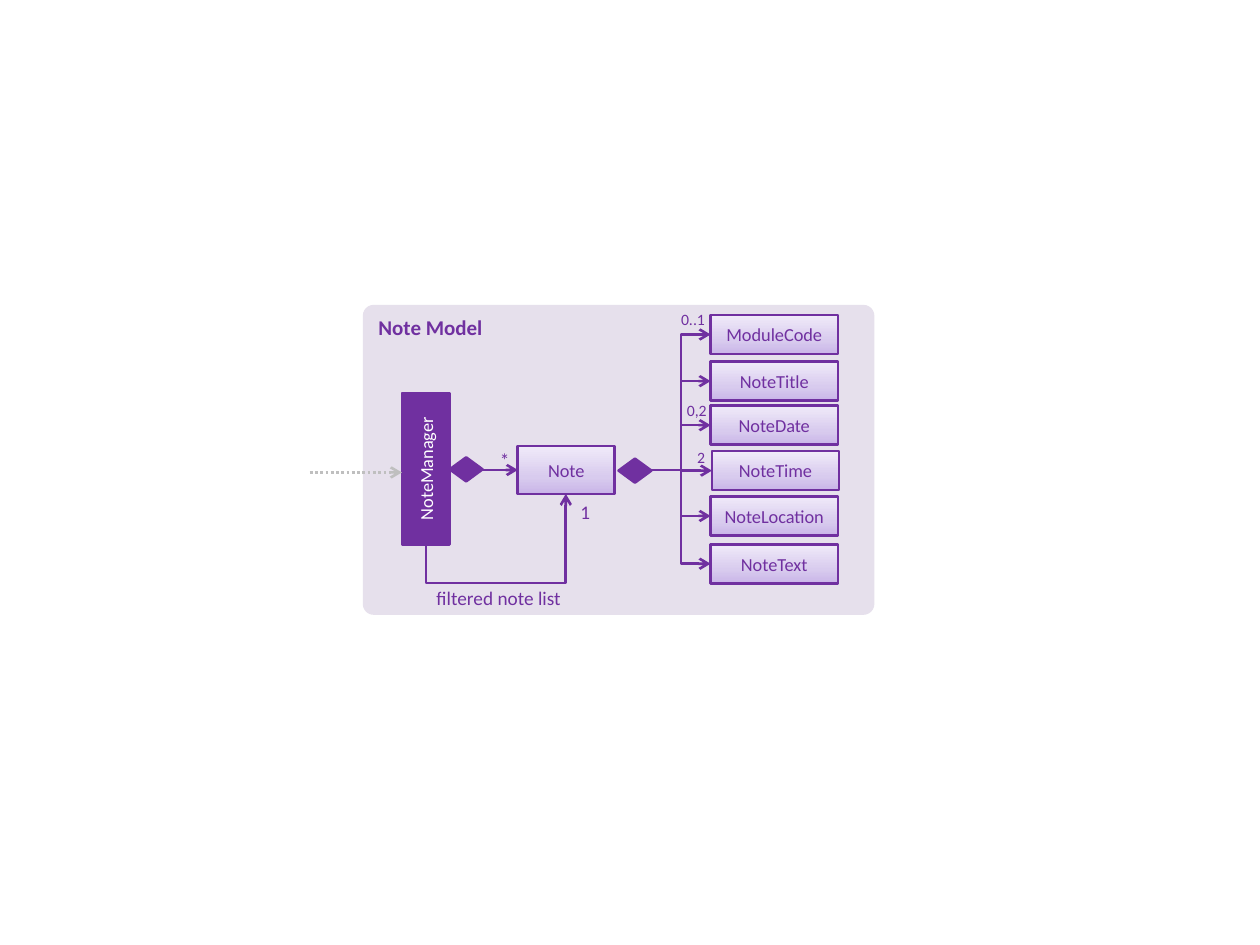
from dataclasses import dataclass

from copy import deepcopy
from pptx import Presentation
from pptx.dml.color import RGBColor
from pptx.enum.dml import MSO_LINE
from pptx.enum.shapes import MSO_CONNECTOR as Link, MSO_SHAPE as Shape
from pptx.enum.text import MSO_ANCHOR as Anchor, PP_ALIGN as Align
from pptx.oxml.ns import qn
from pptx.oxml.xmlchemy import OxmlElement
from pptx.util import Inches, Pt

PURPLE, PANEL, WHITE, GREY = "7030A0", "E6E0EC", "FFFFFF", "BFBFBF"
GRADIENT = ((0, "C9B5E8"), (0.35, "D8CBEE"), (1, "F0EAF9"))
FIELD_X, FIELD_W, FIELD_H = 5.64, 1.01, 0.31
LINK_START = (5.17, 3.73)


@dataclass(frozen=True)
class Field:
    name: str
    top: float
    left: float = FIELD_X


@dataclass(frozen=True)
class Label:
    text: str
    left: float
    top: float
    width: float = 0.19
    size: float = 9


FIELDS = (
    Field("ModuleCode", 2.5),
    Field("NoteTitle", 2.87),
    Field("NoteDate", 3.22),
    Field("NoteTime", 3.58, 5.65),
    Field("NoteLocation", 3.94),
    Field("NoteText", 4.32),
)

LABELS = (
    Label("*", 3.91, 3.56, size=11),
    Label("1", 4.55, 3.97, size=11),
    Label("0..1", 5.36, 2.46, 0.28),
    Label("0,2", 5.4, 3.18, 0.26),
    Label("2", 5.47, 3.55),
)


def rgb(color: str) -> RGBColor:
    return RGBColor.from_string(color)


def write(sp, text: str, size: float, color: str = PURPLE,
          align=Align.CENTER, bold: bool = False) -> None:
    tf = sp.text_frame
    tf.word_wrap = True
    p = tf.paragraphs[0]
    p.alignment = align
    r = p.add_run()
    r.text = text
    r.font.name = "Calibri"
    r.font.size = Pt(size)
    r.font.bold = bold
    r.font.color.rgb = rgb(color)


def add_shape(s, kind, left: float, top: float, width: float, height: float,
              fill: str = PURPLE, outline: bool = True):
    sp = s.shapes.add_shape(kind, *map(Inches, (left, top, width, height)))
    sp.shadow.inherit = False
    sp.fill.solid()
    sp.fill.fore_color.rgb = rgb(fill)
    if outline:
        sp.line.color.rgb = rgb(PURPLE)
        sp.line.width = Pt(1.5)
    else:
        sp.line.fill.background()
    return sp


def add_class(s, name: str, left: float, top: float,
              width: float = FIELD_W, height: float = FIELD_H) -> None:
    sp = add_shape(s, Shape.RECTANGLE, left, top, width, height)
    sp.fill.gradient()
    sp.fill.gradient_angle = 90
    first = sp.element.spPr.find(".//" + qn("a:gs"))
    first.addnext(deepcopy(first))
    for stop, (position, color) in zip(sp.fill.gradient_stops, GRADIENT):
        stop.position = position
        stop.color.rgb = rgb(color)
    sp.text_frame.vertical_anchor = Anchor.MIDDLE
    write(sp, name, 10.5)


def add_arrow(s, kind, start: tuple[float, float], end: tuple[float, float],
              color: str = PURPLE):
    c = s.shapes.add_connector(kind, *map(Inches, (*start, *end)))
    c.line.color.rgb = rgb(color)
    c.line.width = Pt(1.5)
    if color == GREY:
        c.line.dash_style = MSO_LINE.ROUND_DOT
    tail = OxmlElement("a:tailEnd")
    tail.set("type", "arrow")
    c.line._get_or_add_ln().append(tail)
    c.element.spPr.append(OxmlElement("a:effectLst"))
    return c


def turn_elbow(c, degrees: int, bend: float) -> None:
    spPr = c.element.spPr
    spPr.find(qn("a:xfrm")).set("rot", str(degrees * 60000))
    gd = OxmlElement("a:gd")
    gd.set("name", "adj1")
    gd.set("fmla", f"val {round(bend * 100000)}")
    spPr.find(".//" + qn("a:avLst")).append(gd)


def add_label(s, label: Label) -> None:
    box = s.shapes.add_textbox(*map(Inches, (label.left, label.top, label.width, 0.15)))
    tf = box.text_frame
    tf.margin_left = tf.margin_right = tf.margin_top = tf.margin_bottom = 0
    write(box, label.text, label.size)


def main() -> None:
    prs = Presentation()
    prs.slide_width, prs.slide_height = Inches(10), Inches(7.5)
    s = prs.slides.add_slide(prs.slide_layouts[6])

    panel = add_shape(s, Shape.ROUNDED_RECTANGLE, 2.88, 2.42, 4.06, 2.46, PANEL, False)
    panel.adjustments[0] = 0.035
    panel.text_frame.vertical_anchor = Anchor.TOP
    write(panel, "Note Model", 12, align=Align.LEFT, bold=True)

    manager = add_shape(s, Shape.RECTANGLE, 2.78, 3.53, 1.2, 0.38)
    manager.rotation = 270
    manager.text_frame.vertical_anchor = Anchor.MIDDLE
    write(manager, "NoteManager", 10.5, WHITE)

    filtered = add_arrow(s, Link.ELBOW, (4.13, 4.67), (3.74, 3.56))
    turn_elbow(filtered, 90, -0.81)
    add_arrow(s, Link.STRAIGHT, (3.83, 3.73), (4.11, 3.73))
    add_class(s, "Note", 4.11, 3.54, 0.77, 0.38)

    for field in FIELDS:
        add_class(s, field.name, field.left, field.top)
        add_arrow(s, Link.ELBOW, LINK_START, (field.left, field.top + FIELD_H / 2))

    for left, top in ((4.91, 3.64), (3.57, 3.63)):
        add_shape(s, Shape.FLOWCHART_DECISION, left, top, 0.26, 0.19)

    caption = s.shapes.add_textbox(*map(Inches, (3.28, 4.6, 1.27, 0.29)))
    write(caption, "filtered note list", 11, align=Align.RIGHT)
    for label in LABELS:
        add_label(s, label)

    add_arrow(s, Link.ELBOW, (2.46, 3.75), (3.19, 3.75), GREY)
    prs.save("out.pptx")


if __name__ == "__main__":
    main()
